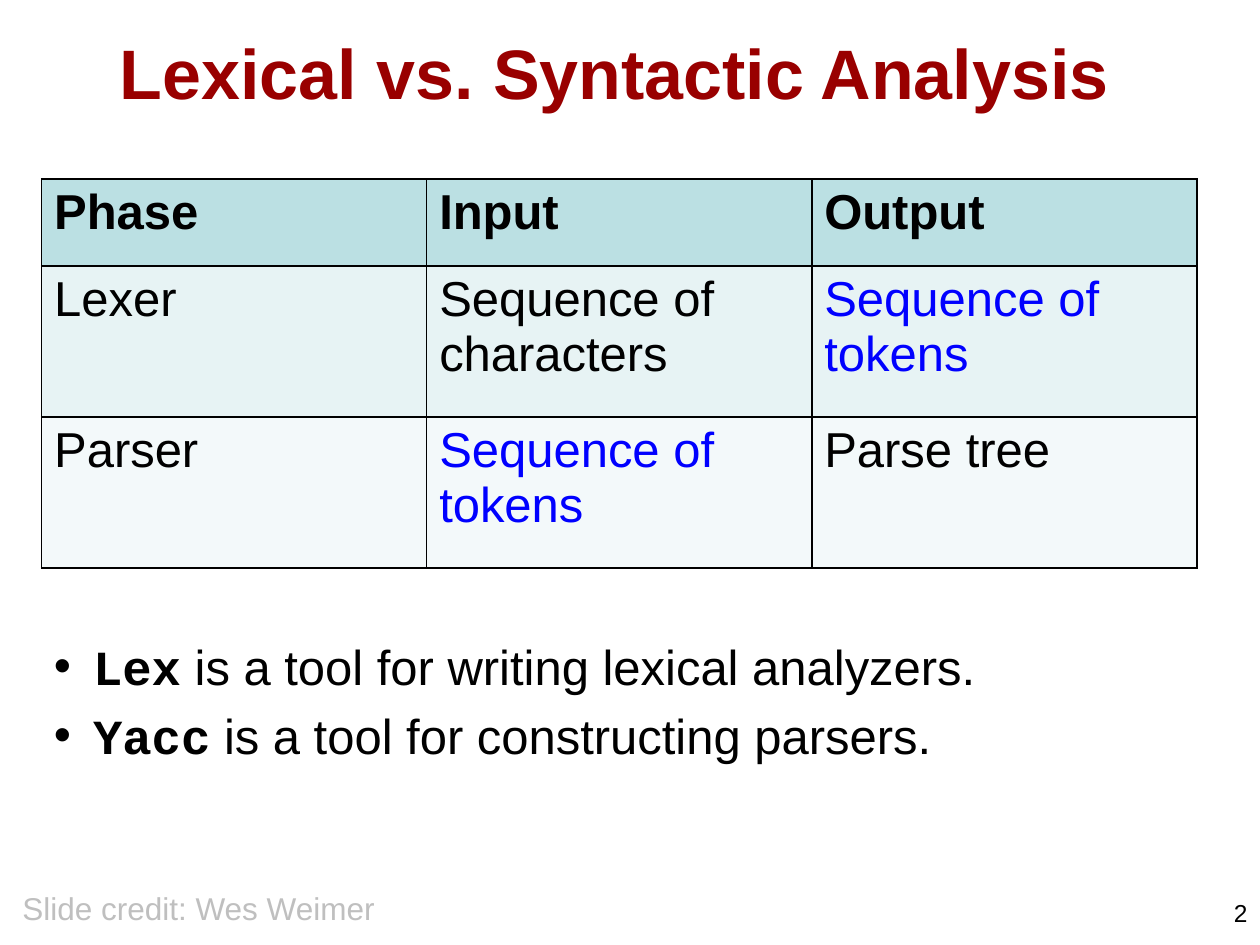
from lxml.etree import SubElement
from pptx import Presentation
from pptx.dml.color import RGBColor
from pptx.enum.text import MSO_ANCHOR, PP_ALIGN
from pptx.oxml.ns import qn
from pptx.util import Inches, Pt

BLACK = RGBColor(0x00, 0x00, 0x00)
DARK_RED = RGBColor(0x99, 0x00, 0x00)
BLUE = RGBColor(0x00, 0x00, 0xFF)
GRAY = RGBColor(0xBF, 0xBF, 0xBF)
ROW_FILLS = [
    RGBColor(0xBB, 0xE0, 0xE3),
    RGBColor(0xE7, 0xF3, 0xF4),
    RGBColor(0xF3, 0xF9, 0xFA),
]
ROW_HEIGHTS = [0.69, 1.2, 1.2]
PHASES = [
    ["Phase", "Input", "Output"],
    ["Lexer", "Sequence of characters", "Sequence of tokens"],
    ["Parser", "Sequence of tokens", "Parse tree"],
]
TOOLS = [
    ("Lex", " is a tool for writing lexical analyzers."),
    ("Yacc", " is a tool for constructing parsers."),
]


class SlideBuilder:
    base = {"name": "Arial", "size": Pt(28), "bold": False}

    def __init__(self, prs):
        self.s = prs.slides.add_slide(prs.slide_layouts[5])

    def add_run(self, p, text, color=BLACK, **fmt):
        r = p.add_run()
        r.text = text
        for key, value in {**self.base, **fmt}.items():
            setattr(r.font, key, value)
        r.font.color.rgb = color

    def title(self, text, box):
        sp = self.s.shapes.title
        for key, value in zip(("left", "top", "width", "height"), box):
            setattr(sp, key, Inches(value))
        tf = sp.text_frame
        tf.vertical_anchor = MSO_ANCHOR.MIDDLE
        p = tf.paragraphs[0]
        p.alignment = PP_ALIGN.CENTER
        self.add_run(p, text, DARK_RED, size=Pt(40), bold=True)

    def text_frame(self, box, wrap=False):
        tf = self.s.shapes.add_textbox(*map(Inches, box)).text_frame
        tf.word_wrap = wrap
        return tf

    def label(self, text, box, size, color=BLACK, align=PP_ALIGN.LEFT, wrap=False):
        p = self.text_frame(box, wrap).paragraphs[0]
        p.alignment = align
        self.add_run(p, text, color, size=Pt(size))

    def bullets(self, items, box):
        tf = self.text_frame(box)
        for i, (term, rest) in enumerate(items):
            p = tf.add_paragraph() if i else tf.paragraphs[0]
            if i:
                p.space_before = Pt(6)
            pPr = p._p.get_or_add_pPr()
            pPr.set("marL", str(Inches(0.31)))
            pPr.set("indent", str(Inches(-0.31)))
            SubElement(pPr, qn("a:buFont"), typeface="Arial")
            SubElement(pPr, qn("a:buChar"), char="•")
            self.add_run(p, term, name="Courier New", bold=True)
            self.add_run(p, rest)

    def border(self, cell):
        tcPr = cell._tc.get_or_add_tcPr()
        for i, side in enumerate(("a:lnL", "a:lnR", "a:lnT", "a:lnB")):
            ln = tcPr.makeelement(qn(side), {"w": str(Pt(1))})
            fill = SubElement(ln, qn("a:solidFill"))
            SubElement(fill, qn("a:srgbClr"), val=str(BLACK))
            tcPr.insert(i, ln)

    def table(self, rows, box):
        shape = self.s.shapes.add_table(len(rows), len(rows[0]), *map(Inches, box))
        tbl = shape.table
        for i, texts in enumerate(rows):
            tbl.rows[i].height = Inches(ROW_HEIGHTS[i])
            for j, text in enumerate(texts):
                cell = tbl.cell(i, j)
                cell.fill.solid()
                cell.fill.fore_color.rgb = ROW_FILLS[i]
                color = BLUE if text == "Sequence of tokens" else BLACK
                self.add_run(cell.text_frame.paragraphs[0], text, color, bold=i == 0)
                self.border(cell)


def main():
    prs = Presentation()
    prs.slide_width, prs.slide_height = Inches(10), Inches(7.5)
    b = SlideBuilder(prs)
    b.title("Lexical vs. Syntactic Analysis", (0.25, 0.25, 9.25, 0.64))
    b.table(PHASES, (0.33, 1.42, 9.17, 3.08))
    b.label("Slide credit: Wes Weimer", (0.08, 7.01, 3.03, 0.4), 18, GRAY)
    b.bullets(TOOLS, (0.33, 5, 7.79, 1.13))
    b.label("2", (7.67, 7.08, 2.33, 0.33), 14, align=PP_ALIGN.RIGHT, wrap=True)
    prs.save("out.pptx")


if __name__ == "__main__":
    main()
